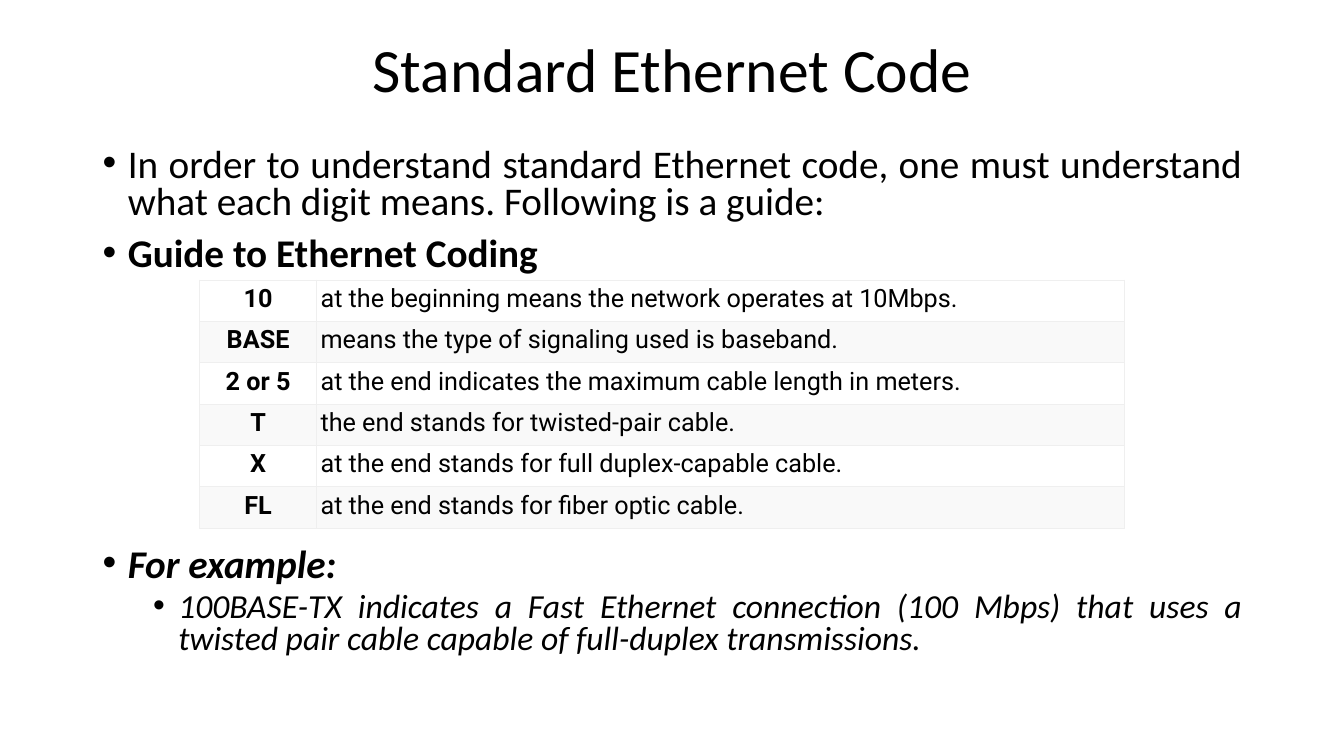
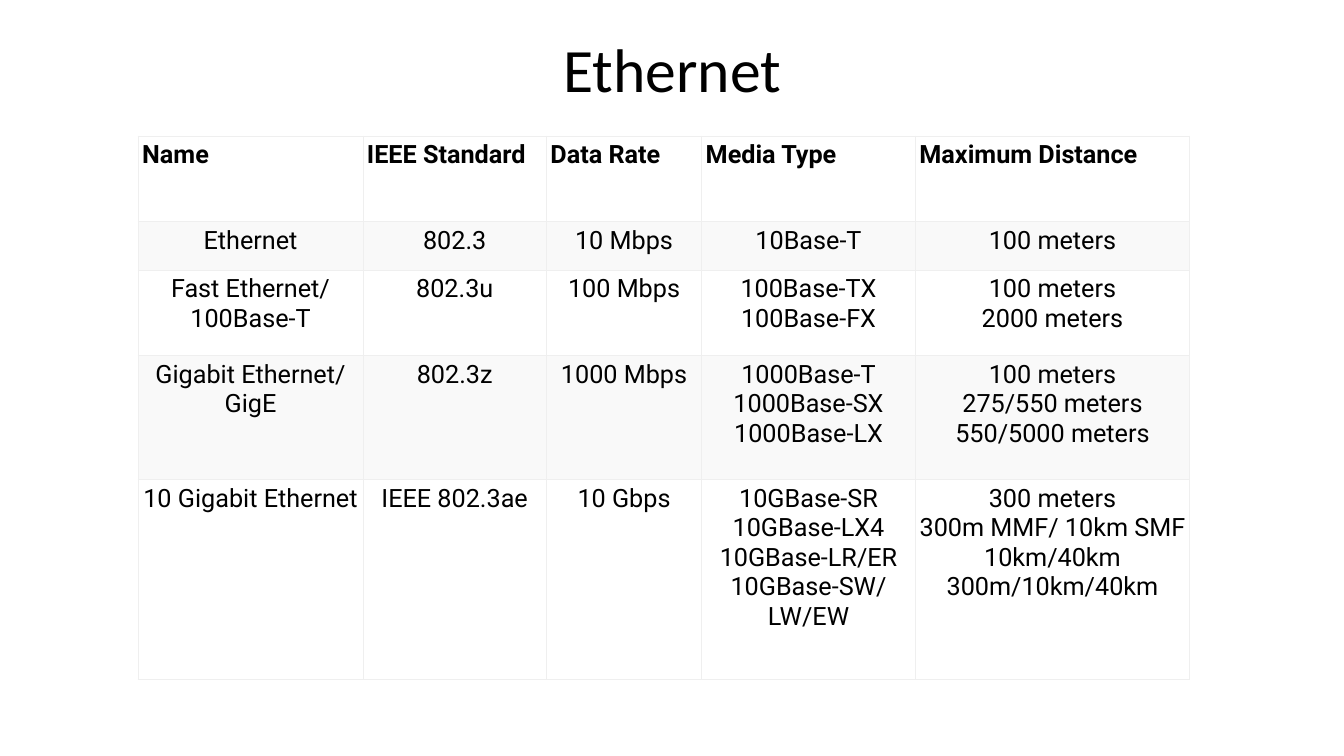
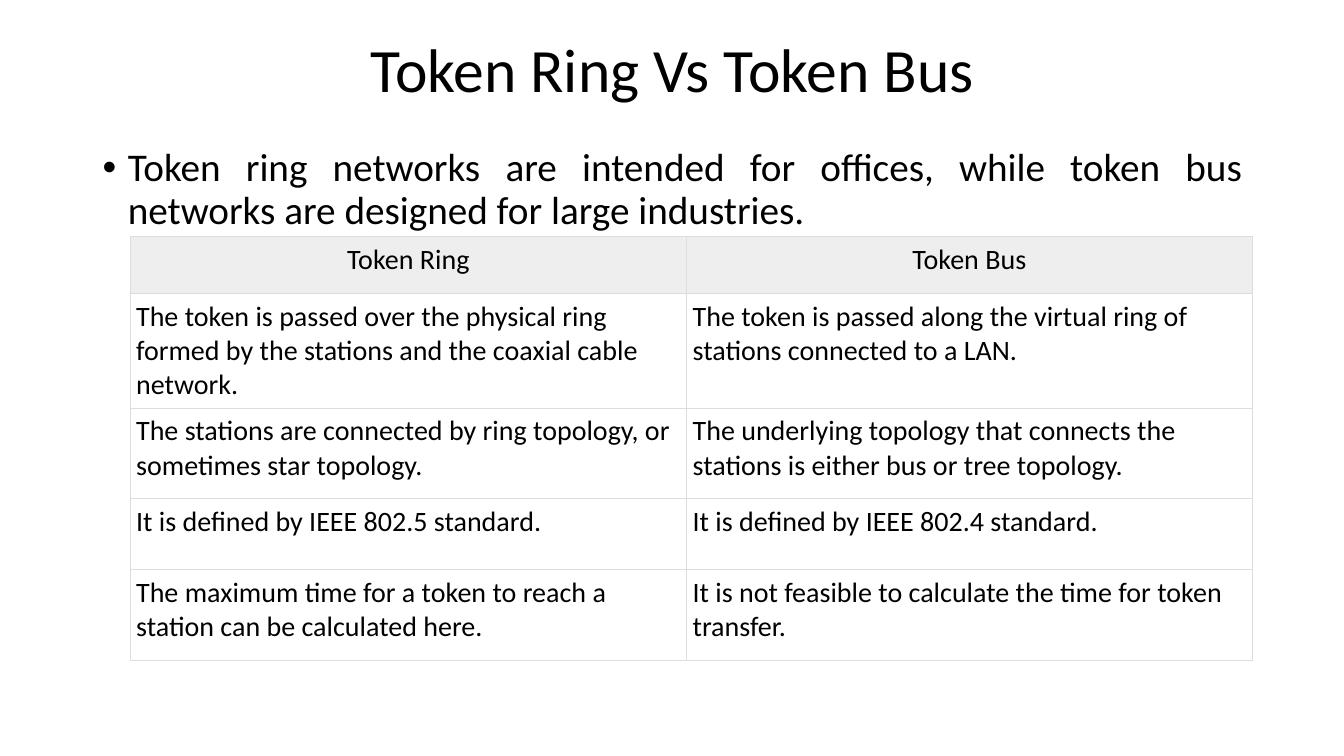
from lxml import etree
from pptx import Presentation
from pptx import util as u
from pptx.dml.color import RGBColor
from pptx.enum import text as t
from pptx.oxml import ns

INK, PAPER = "000000", "FFFFFF"
PALE, RULE = "F9F9F9", "EFEFEF"
GREY, EDGE = "EEEEEE", "DDDDDD"
SANS, WEB = "Calibri", "Roboto"
LEFT, MID, JUST = t.PP_ALIGN.LEFT, t.PP_ALIGN.CENTER, t.PP_ALIGN.JUSTIFY
SIDE, WIDE = 0.92, 11.5
BODY = 1.42


def tint(code):
    return RGBColor.from_string(code)


def add(parent, tag, **attrs):
    node = etree.SubElement(parent, ns.qn(tag))
    for key, value in attrs.items():
        node.set(key, str(value))
    return node


def write(para, words, size=18, font=SANS, bold=False, italic=False,
          align=LEFT, line=1.0, before=0, level=None):
    para.text = words
    para.alignment = align
    para.line_spacing = line
    para.space_before = u.Pt(before)
    if level is not None:
        props = para._p.get_or_add_pPr()
        props.set("marL", str(u.Inches(0.25 + 0.5 * level)))
        props.set("indent", str(-u.Inches(0.25)))
        add(props, "a:buFont", typeface="Arial")
        add(props, "a:buChar", char="•")
    for run in para.runs:
        face = run.font
        face.name, face.size = font, u.Pt(size)
        face.bold, face.italic = bold, italic
        face.color.rgb = tint(INK)


def frame(slide, top, high):
    box = slide.shapes.add_textbox(*map(u.Inches, (SIDE, top, WIDE, high)))
    box.text_frame.word_wrap = True
    return box.text_frame


def title(slide, words):
    area = frame(slide, 0.13, 1.18)
    area.vertical_anchor = t.MSO_ANCHOR.MIDDLE
    write(area.paragraphs[0], words, size=44, align=MID, line=0.9)


def bullets(slide, top, high, items, line):
    area = frame(slide, top, high)
    for i, (words, level, style) in enumerate(items):
        para = area.add_paragraph() if i else area.paragraphs[0]
        gap = (5 if level else 10) if i else 0
        write(para, words, size=24 if level else 28, align=JUST,
              line=line, before=gap, level=level, **style)


def border(cell, code):
    props = cell._tc.get_or_add_tcPr()
    for i, tag in enumerate(("a:lnL", "a:lnR", "a:lnT", "a:lnB")):
        edge = etree.Element(ns.qn(tag), w=str(u.Pt(0.75)))
        add(add(edge, "a:solidFill"), "a:srgbClr", val=code)
        props.insert(i, edge)


def grid(slide, left, top, cols, rows, cells, look, rule, inset):
    place = map(u.Inches, (left, top, sum(cols), sum(rows)))
    table = slide.shapes.add_table(len(rows), len(cols), *place).table
    table.first_row = table.horz_banding = False
    for col, wide in zip(table.columns, cols):
        col.width = u.Inches(wide)
    for r, high in enumerate(rows):
        table.rows[r].height = u.Inches(high)
        for c, words in enumerate(cells[r]):
            cell = table.cell(r, c)
            fill, style = look(r, c)
            cell.margin_left = cell.margin_right = u.Inches(inset)
            cell.margin_top = cell.margin_bottom = u.Inches(inset)
            cell.fill.solid()
            cell.fill.fore_color.rgb = tint(fill)
            border(cell, rule)
            write(cell.text_frame.paragraphs[0], words, **style)


def band(r):
    return PALE if r % 2 else PAPER


def code_look(r, c):
    key = c == 0
    return band(r), dict(font=WEB, bold=key, align=MID if key else LEFT)


def speed_look(r, c):
    head = r == 0
    return band(r), dict(font=WEB, bold=head, align=LEFT if head else MID)


def token_look(r, c):
    head = r == 0
    return GREY if head else PAPER, dict(size=20, align=MID if head else LEFT)


def codes(slide):
    title(slide, "Standard Ethernet Code")
    bullets(slide, BODY, 1.35, [
        ("In order to understand standard Ethernet code, one must understand "
         "what each digit means. Following is a guide:", 0, {}),
        ("Guide to Ethernet Coding", 0, dict(bold=True)),
    ], 0.8)
    cells = [
        ("10", "at the beginning means the network operates at 10Mbps."),
        ("BASE", "means the type of signaling used is baseband."),
        ("2 or 5", "at the end indicates the maximum cable length in meters."),
        ("T", "the end stands for twisted-pair cable."),
        ("X", "at the end stands for full duplex-capable cable."),
        ("FL", "at the end stands for fiber optic cable."),
    ]
    grid(slide, 1.98, 2.78, [1.16, 8.01], [0.41] * len(cells), cells,
         code_look, RULE, 0.04)
    bullets(slide, 5.39, 1.39, [
        ("For example:", 0, dict(bold=True, italic=True)),
        ("100BASE-TX indicates a Fast Ethernet connection (100 Mbps) that "
         "uses a twisted pair cable capable of full-duplex transmissions.",
         1, dict(italic=True)),
    ], 0.8)


def speeds(slide):
    title(slide, "Ethernet")
    cells = [
        ("Name", "IEEE Standard", "Data Rate", "Media Type",
         "Maximum Distance"),
        ("Ethernet", "802.3", "10 Mbps", "10Base-T", "100 meters"),
        ("Fast Ethernet/\n100Base-T", "802.3u", "100 Mbps",
         "100Base-TX\n100Base-FX", "100 meters\n2000 meters"),
        ("Gigabit Ethernet/\nGigE", "802.3z", "1000 Mbps",
         "1000Base-T\n1000Base-SX\n1000Base-LX",
         "100 meters\n275/550 meters\n550/5000 meters"),
        ("10 Gigabit Ethernet", "IEEE 802.3ae", "10 Gbps",
         "10GBase-SR\n10GBase-LX4\n10GBase-LR/ER\n10GBase-SW/LW/EW",
         "300 meters\n300m MMF/ 10km SMF\n10km/40km\n300m/10km/40km"),
    ]
    grid(slide, 1.37, 1.35, [2.23, 1.82, 1.54, 2.12, 2.72],
         [0.85, 0.48, 0.85, 1.23, 1.98], cells, speed_look, RULE, 0.04)


def tokens(slide):
    title(slide, "Token Ring Vs Token Bus")
    bullets(slide, BODY, 0.95, [
        ("Token ring networks are intended for offices, while token bus "
         "networks are designed for large industries.", 0, {}),
    ], 0.9)
    cells = [
        ("Token Ring", "Token Bus"),
        ("The token is passed over the physical ring formed by the stations "
         "and the coaxial cable network.",
         "The token is passed along the virtual ring of stations connected "
         "to a LAN."),
        ("The stations are connected by ring topology, or sometimes star "
         "topology.",
         "The underlying topology that connects the stations is either bus "
         "or tree topology."),
        ("It is defined by IEEE 802.5 standard.",
         "It is defined by IEEE 802.4 standard."),
        ("The maximum time for a token to reach a station can be calculated "
         "here.",
         "It is not feasible to calculate the time for token transfer."),
    ]
    grid(slide, 1.29, 2.35, [5.52, 5.61], [0.56, 1.14, 0.9, 0.7, 0.9],
         cells, token_look, EDGE, 0.06)


def main():
    deck = Presentation()
    deck.slide_width, deck.slide_height = u.Inches(13.33), u.Inches(7.5)
    for build in (codes, speeds, tokens):
        build(deck.slides.add_slide(deck.slide_layouts[6]))
    deck.save("out.pptx")


if __name__ == "__main__":
    main()
